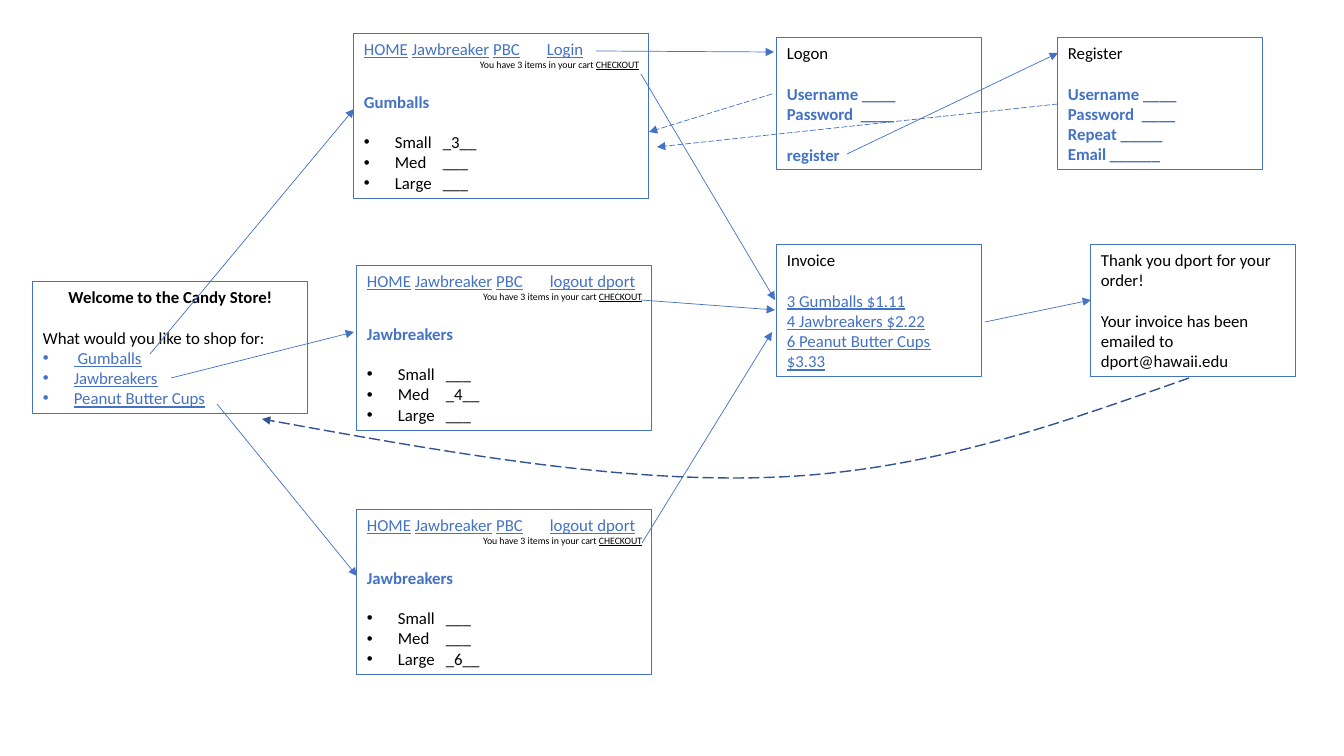
from dataclasses import dataclass

from lxml import etree
from pptx import Presentation
from pptx.dml.color import RGBColor
from pptx.enum.dml import MSO_LINE
from pptx.enum.shapes import MSO_CONNECTOR, MSO_SHAPE
from pptx.enum.text import MSO_ANCHOR, MSO_AUTO_SIZE, PP_ALIGN
from pptx.oxml.ns import qn
from pptx.util import Pt

STRAIGHT = MSO_CONNECTOR.STRAIGHT
RECTANGLE = MSO_SHAPE.RECTANGLE
LONG_DASH = MSO_LINE.LONG_DASH
TOP = MSO_ANCHOR.TOP
GROW = MSO_AUTO_SIZE.SHAPE_TO_FIT_TEXT
LEFT, CENTER, RIGHT = PP_ALIGN.LEFT, PP_ALIGN.CENTER, PP_ALIGN.RIGHT

BLACK, BLUE, NAVY = "000000", "4472C4", "325491"
LEFT_SIDE = 1
BLANK_LAYOUT = 6


def emu(px):
    return round(px * 914400 / 100.8)


def rgb(color):
    return RGBColor.from_string(color)


@dataclass
class Line:
    """One paragraph; parts of the text between bars are underlined."""
    text: str
    color: str = BLACK
    bold: bool = False
    size: float = 12
    align: PP_ALIGN = LEFT
    gap: bool = False
    bullet: bool = False
    tab: int = 0


class Storyboard:
    font = "Calibri"
    indent = 31
    gap = 14.65

    def __init__(self, slide):
        self.slide = slide
        self.shapes = slide.shapes

    def stroke(self, shape, color, width, dash=None, arrow=False):
        shape.line.color.rgb = rgb(color)
        shape.line.width = Pt(width)
        if dash:
            shape.line.dash_style = dash
        if arrow:
            outline = shape._element.spPr.find(qn("a:ln"))
            etree.SubElement(outline, qn("a:tailEnd"), type="triangle")

    def fill_paragraph(self, paragraph, line):
        properties = paragraph._p.get_or_add_pPr()
        if line.bullet:
            properties.set("marL", str(emu(self.indent)))
            properties.set("indent", str(-emu(self.indent)))
            etree.SubElement(properties, qn("a:buFont"), typeface="Arial")
            etree.SubElement(properties, qn("a:buChar"), char="•")
        if line.tab:
            stops = etree.SubElement(properties, qn("a:tabLst"))
            etree.SubElement(stops, qn("a:tab"), pos=str(emu(line.tab)), algn="l")
        if line.gap:
            paragraph.space_before = Pt(self.gap)
        paragraph.alignment = line.align
        font = paragraph.font
        font.name, font.size, font.bold = self.font, Pt(line.size), line.bold
        font.color.rgb = rgb(line.color)
        for position, part in enumerate(line.text.split("|")):
            if part:
                run = paragraph.add_run()
                run.text = part
                run.font.underline = position % 2 == 1

    def screen(self, x, y, width, height, lines):
        box = self.shapes.add_shape(RECTANGLE, emu(x), emu(y), emu(width), emu(height))
        box.shadow.inherit = False
        box.fill.background()
        self.stroke(box, BLUE, 0.75)
        frame = box.text_frame
        frame.word_wrap = True
        frame.auto_size = GROW
        frame.vertical_anchor = TOP
        for number, line in enumerate(lines):
            paragraph = frame.add_paragraph() if number else frame.paragraphs[0]
            self.fill_paragraph(paragraph, line)
        return box

    def product(self, x, y, account, name, quantities):
        sizes = zip(("Small", "Med", "Large"), quantities)
        return self.screen(x, y, 295, 165, [
            Line(f"|HOME| |Jawbreaker| |PBC|\t|{account}|", BLUE, tab=183),
            Line("You have 3 items in your cart |CHECKOUT|", size=7, align=RIGHT),
            Line(name, BLUE, bold=True, gap=True),
            *(Line(f"{size}\t{quantity}", gap=size == "Small", bullet=True, tab=79)
              for size, quantity in sizes),
        ])

    def form(self, x, y, lines):
        return self.screen(x, y, 205, 132, lines)

    def arrow(self, start, end, dash=None, source=None):
        """Draw an arrow, joined to the left side of source if given."""
        connector = self.shapes.add_connector(STRAIGHT, *map(emu, start + end))
        if source is not None:
            connector.begin_connect(source, LEFT_SIDE)
        self.stroke(connector, BLUE, 0.5, dash, arrow=True)
        etree.SubElement(connector._element.spPr, qn("a:effectLst"))

    def curved_arrow(self, start, *points):
        """Draw Bézier segments, each given by two handles and an end."""
        builder = self.shapes.build_freeform(*map(emu, start))
        builder.add_line_segments([tuple(map(emu, point)) for point in points], close=False)
        curve = builder.convert_to_shape()
        curve.shadow.inherit = False
        curve.fill.background()
        self.stroke(curve, NAVY, 1, LONG_DASH, arrow=True)
        outline = curve._element.xpath(".//a:path")[0]
        segments = outline.findall(qn("a:lnTo"))
        for first in range(0, len(segments), 3):
            bezier = etree.SubElement(outline, qn("a:cubicBezTo"))
            for segment in segments[first:first + 3]:
                bezier.append(segment[0])
                outline.remove(segment)


def main():
    deck = Presentation()
    deck.slide_width, deck.slide_height = emu(1344), emu(756)
    board = Storyboard(deck.slides.add_slide(deck.slide_layouts[BLANK_LAYOUT]))

    board.screen(33, 282, 275, 132, [
        Line("Welcome to the Candy Store!", bold=True, align=CENTER),
        Line("What would you like to shop for:", gap=True),
        *(Line(f"|{candy}|", BLUE, bullet=True)
          for candy in (" Gumballs", "Jawbreakers", "Peanut Butter Cups")),
    ])
    board.product(354, 34, "Login", "Gumballs", ("_3__", "___", "___"))
    board.product(357, 266, "logout dport", "Jawbreakers", ("___", "_4__", "___"))
    board.product(357, 510, "logout dport", "Jawbreakers", ("___", "___", "_6__"))

    credentials = [
        Line("Username ____", BLUE, bold=True, gap=True),
        Line("Password\t____", BLUE, bold=True, tab=74),
    ]
    board.form(777, 38, [
        Line("Logon"), *credentials, Line("register", BLUE, bold=True, gap=True)])
    register = board.form(1058, 38, [
        Line("Register"), *credentials,
        Line("Repeat _____", BLUE, bold=True), Line("Email ______", BLUE, bold=True)])
    board.form(777, 245, [
        Line("Invoice"),
        Line("|3 Gumballs $1.11|", BLUE, gap=True),
        Line("|4 Jawbreakers $2.22|", BLUE),
        Line("|6 Peanut Butter Cups $3.33|", BLUE)])
    board.form(1091, 245, [
        Line("Thank you dport for your order!"),
        Line("Your invoice has been emailed to dport@hawaii.edu", gap=True)])

    for start, end in (
        ((150, 354), (354, 109)),
        ((171, 378), (354, 332)),
        ((217, 404), (357, 576)),
        ((641, 74), (775, 300)),
        ((641, 300), (775, 310)),
        ((642, 543), (772, 332)),
        ((596, 51), (774, 52)),
        ((847, 154), (1058, 53)),
        ((985, 322), (1091, 300)),
    ):
        board.arrow(start, end)
    board.arrow((772, 94), (649, 132), LONG_DASH)
    board.arrow((1058, 104), (657, 147), LONG_DASH, source=register)
    board.curved_arrow((1189, 378), (1061, 423), (933, 470), (779, 477),
                       (624, 484), (444, 452), (262, 419))

    deck.save("out.pptx")


if __name__ == "__main__":
    main()
